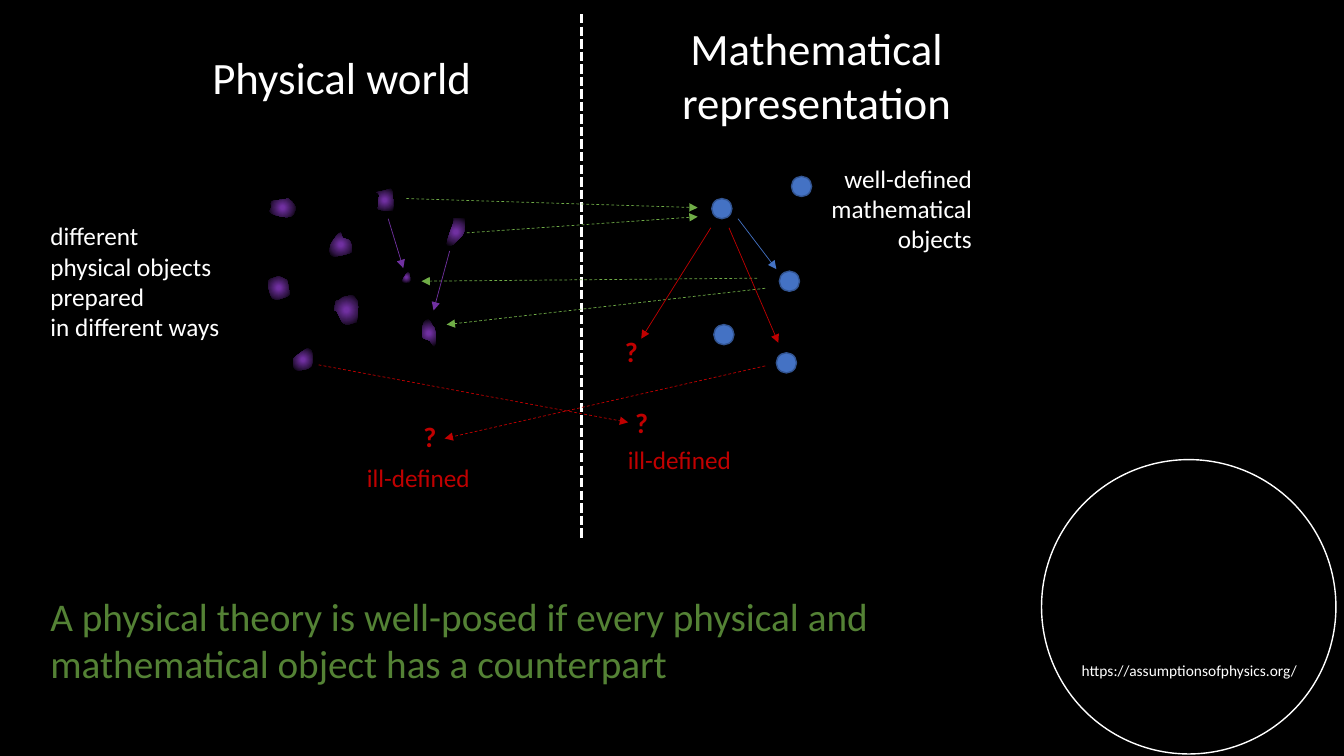
from copy import deepcopy

from lxml import etree
from pptx import Presentation
from pptx import util as u
from pptx.dml.color import RGBColor
from pptx.enum import dml, shapes, text
from pptx.oxml.ns import qn

# The slide is a grid of 1333 columns by 750 rows, one hundred cells to the inch.
COLUMNS, ROWS = 1333, 750
CELL = u.Inches(0.01)
FONT = "Calibri"
COLORS = {
    "background": "000000", "text": "FFFFFF", "statement": "548235",
    "ill_defined": "C00000", "mapping": "70AD47", "physical": "7030A0",
    "physical_fade": "3C1A56", "math": "4472C4", "math_edge": "325491",
}

STATEMENT = ("A physical theory is well-posed if every physical and "
             "mathematical object has a counterpart")
# placeholder index: (wording, box, size, alignment)
SIDES = {
    1: ("Physical world", (199, 44, 280, 64), 32, "CENTER"),
    2: ("different\nphysical objects\nprepared\nin different ways",
        (40, 214, 190, 131), 18, "LEFT"),
    3: ("Mathematical\nrepresentation", (665, 16, 290, 118), 32, "CENTER"),
    4: ("well-defined\nmathematical\nobjects", (813, 157, 161, 101), 18, "RIGHT"),
}
WEBSITE = "https://assumptionsofphysics.org/"
WEBSITE_BOX = (1063, 651, 235, 29)
WEBSITE_RING = (1033, 456, 292, 292)
ILL_DEFINED = [(354, 454), (613, 436)]
UNKNOWNS = [(620, 397), (410, 411), (610, 327)]

DIVIDER = ((577, 14), (577, 535))
DOT_SIZE = 20
MATH_OBJECTS = [(773, 269), (706, 197), (708, 322), (785, 175), (770, 350)]
PHYSICAL_OBJECTS = [
    [(274, 275), (266, 279), (269, 294), (275, 297), (285, 294), (287, 291),
     (285, 279), (283, 277), (276, 274)],
    [(373, 191), (382, 189), (385, 188), (389, 189), (390, 208), (387, 209),
     (376, 208), (375, 205), (376, 193)],
    [(337, 231), (328, 243), (329, 254), (344, 252), (349, 249), (347, 239),
     (340, 236)],
    [(332, 308), (333, 299), (336, 298), (340, 295), (344, 294), (348, 293),
     (351, 294), (355, 301), (354, 318), (352, 320), (345, 322), (341, 321),
     (339, 319), (334, 309)],
    [(305, 346), (301, 348), (293, 354), (291, 357), (293, 367), (307, 365),
     (310, 357), (309, 348)],
    [(405, 270), (399, 279), (404, 280), (407, 279)],
    [(425, 317), (420, 321), (419, 334), (426, 338), (431, 344), (432, 334),
     (431, 326), (429, 323)],
    [(443, 242), (450, 220), (450, 217), (457, 217), (461, 217), (460, 231),
     (453, 239), (451, 241), (449, 243)],
    [(286, 197), (282, 198), (272, 199), (269, 201), (269, 206), (268, 211),
     (280, 215), (290, 214), (293, 205)],
]
# (color, dashed): [(from, to), ...]
ARROWS = {
    ("mapping", True): [((463, 231), (692, 215)), ((403, 197), (692, 206)),
                        ((759, 286), (443, 322)), ((751, 276), (418, 279))],
    ("ill_defined", True): [((316, 362), (623, 419)), ((759, 363), (441, 435))],
    ("ill_defined", False): [((723, 226), (772, 340)), ((705, 226), (636, 336))],
    ("physical", False): [((446, 249), (430, 308)), ((385, 217), (400, 266))],
    ("math", False): [((732, 217), (770, 267))],
}


def rgb(name):
    return RGBColor.from_string(COLORS[name])


def cells(values):
    return [int(value * CELL) for value in values]


def write(wording, box, size=18, color="text", align="LEFT", bold=False,
          wrap=False, holder=None):
    """Put wording in a placeholder, or in a new text box if none is given."""
    if holder is None:
        holder = slide.shapes.add_textbox(*cells(box))
    else:
        holder.left, holder.top, holder.width, holder.height = cells(box)
    frame = holder.text_frame
    frame.auto_size = text.MSO_AUTO_SIZE.NONE
    frame.word_wrap = wrap
    frame.vertical_anchor = text.MSO_ANCHOR.TOP
    line = frame.paragraphs[0]
    line.text = wording.replace("\n", "\v")
    line.alignment = getattr(text.PP_ALIGN, align)
    line.space_before = line.space_after = u.Pt(0)
    line.line_spacing = 1.0
    if holder.is_placeholder:
        layout = line._p.get_or_add_pPr()
        layout.set("marL", "0")
        layout.set("indent", "0")
        etree.SubElement(layout, qn("a:buNone"))
    for run in line.runs:
        run.font.name, run.font.size, run.font.bold = FONT, u.Pt(size), bold
        run.font.color.rgb = rgb(color)
    for line_break in line._p.findall(qn("a:br")):
        line_break.append(deepcopy(line.runs[0]._r.rPr))


def connect(ends, color, width, dash=None, arrow=True):
    start, end = ends
    link = slide.shapes.add_connector(shapes.MSO_CONNECTOR.STRAIGHT,
                                      *cells(start + end))
    link.line.color.rgb = rgb(color)
    link.line.width = u.Pt(width)
    if dash:
        link.line.dash_style = dash
    if arrow:
        etree.SubElement(link.line._get_or_add_ln(), qn("a:tailEnd"), type="triangle")
    etree.SubElement(link._element.spPr, qn("a:effectLst"))


def circle(box, edge, fill=None):
    ring = slide.shapes.add_shape(shapes.MSO_SHAPE.OVAL, *cells(box))
    ring.shadow.inherit = False
    if fill:
        ring.fill.solid()
        ring.fill.fore_color.rgb = rgb(fill)
    else:
        ring.fill.background()
    ring.line.color.rgb = rgb(edge)
    ring.line.width = u.Pt(1)


def smooth(corners, steps=4):
    """Return points on a closed Catmull-Rom curve through the corners."""
    curve = []
    for i in range(len(corners)):
        a, b, c, d = (corners[(i + k) % len(corners)] for k in (-1, 0, 1, 2))
        for t in (step / steps for step in range(steps)):
            curve.append(cells(
                q + ((r - p) * t + (2 * p - 5 * q + 4 * r - s) * t ** 2
                     + (3 * q - p - 3 * r + s) * t ** 3) / 2
                for p, q, r, s in zip(a, b, c, d)))
    return curve


def glow():
    """Return a radial fill that fades from the centre to the background."""
    fill = etree.Element(qn("a:gradFill"))
    stops = etree.SubElement(fill, qn("a:gsLst"))
    for share, color in ((12, "physical"), (56, "physical_fade"), (100, "background")):
        stop = etree.SubElement(stops, qn("a:gs"), pos=str(share * 1000))
        etree.SubElement(stop, qn("a:srgbClr"), val=COLORS[color])
    radial = etree.SubElement(fill, qn("a:path"), path="circle")
    etree.SubElement(radial, qn("a:fillToRect"),
                     dict.fromkeys("ltrb", "50000"))
    return fill


def blob(corners):
    first, *rest = smooth(corners)
    builder = slide.shapes.build_freeform(*first)
    builder.add_line_segments(rest, close=True)
    body = builder.convert_to_shape()
    body.shadow.inherit = False
    body.fill.background()
    properties = body._element.spPr
    properties.replace(properties.find(qn("a:noFill")), glow())
    body.line.fill.background()


deck = Presentation()
deck.slide_width, deck.slide_height = cells((COLUMNS, ROWS))
slide = deck.slides.add_slide(deck.slide_layouts.get_by_name("Comparison"))
slide.background.fill.solid()
slide.background.fill.fore_color.rgb = rgb("background")

circle(WEBSITE_RING, "text")
write(WEBSITE, WEBSITE_BOX, size=11)
write(STATEMENT, (40, 583, 879, 104), size=28, color="statement", wrap=True,
      holder=slide.shapes.title)
for index, (wording, box, size, align) in SIDES.items():
    write(wording, box, size=size, align=align, holder=slide.placeholders[index])

connect(DIVIDER, "text", 2.25, dml.MSO_LINE.SQUARE_DOT, arrow=False)
for corners in PHYSICAL_OBJECTS:
    blob(corners)
for corner in MATH_OBJECTS:
    circle(corner + (DOT_SIZE, DOT_SIZE), "math_edge", "math")
for (color, dashed), links in ARROWS.items():
    for ends in links:
        connect(ends, color, 0.5, dml.MSO_LINE.DASH if dashed else None)
for corner in UNKNOWNS:
    write("?", corner + (33, 44), size=20, color="ill_defined", bold=True)
for corner in ILL_DEFINED:
    write("ill-defined", corner + (124, 40), color="ill_defined")

deck.save("out.pptx")
